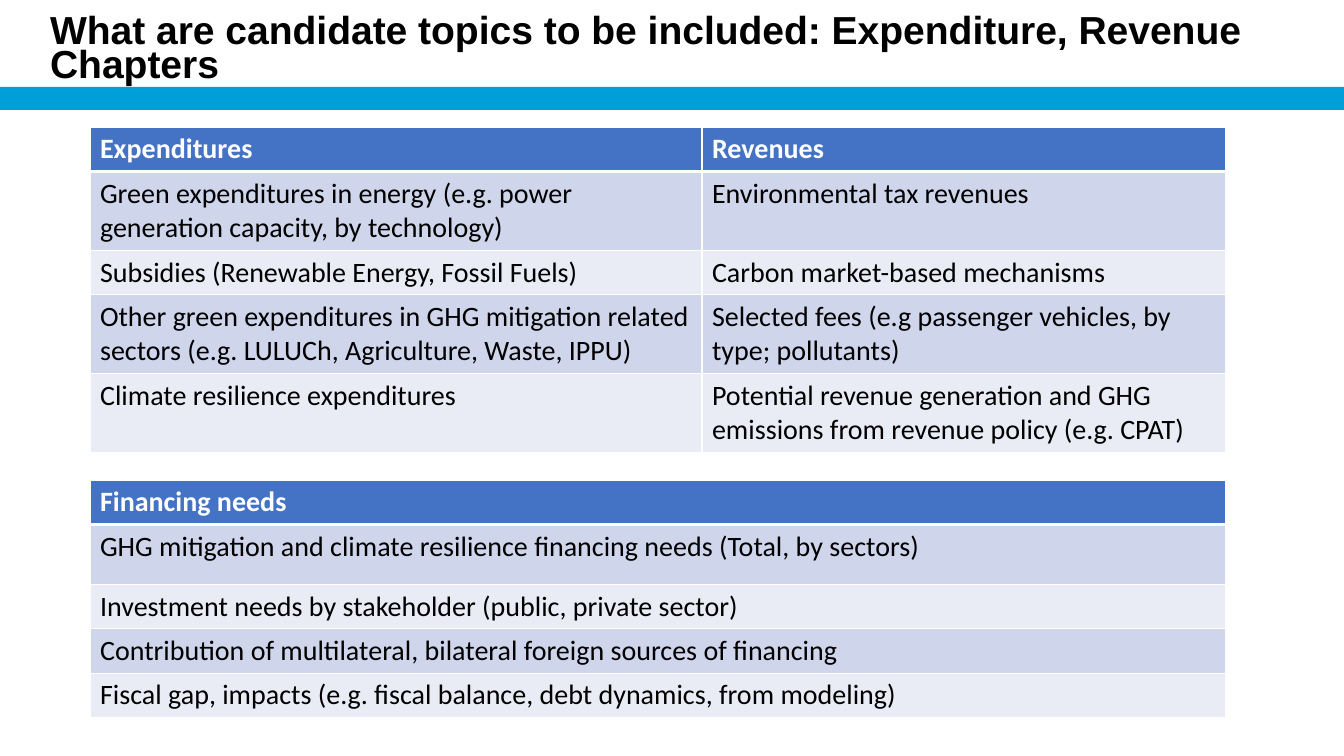
from pptx import Presentation
from pptx.dml.color import RGBColor as Rgb
from pptx.enum.shapes import MSO_SHAPE as Kind
from pptx.enum.text import MSO_ANCHOR as Anchor, PP_ALIGN as Align
from pptx.oxml import parse_xml
from pptx.oxml.ns import nsdecls
from pptx.util import Pt

# Content
TITLE = "What are candidate topics to be included: Expenditure, Revenue Chapters"
BUDGET = [
    ("Expenditures", "Revenues"),
    ("Green expenditures in energy (e.g. power generation capacity, by technology)",
     "Environmental tax revenues"),
    ("Subsidies (Renewable Energy, Fossil Fuels)", "Carbon market-based mechanisms"),
    ("Other green expenditures in GHG mitigation related sectors "
     "(e.g. LULUCh, Agriculture, Waste, IPPU)",
     "Selected fees (e.g passenger vehicles, by type; pollutants)"),
    ("Climate resilience expenditures",
     "Potential revenue generation and GHG emissions from revenue policy (e.g. CPAT)"),
]
NEEDS = [
    ("Financing needs",),
    ("GHG mitigation and climate resilience financing needs (Total, by sectors)",),
    ("Investment needs by stakeholder (public, private sector)",),
    ("Contribution of multilateral, bilateral foreign sources of financing",),
    ("Fiscal gap, impacts (e.g. fiscal balance, debt dynamics, from modeling)",),
]
# Rows, top, column widths, row heights
TABLES = [
    (BUDGET, 127, (612, 524), (43, 79, 44, 79, 79)),
    (NEEDS, 480, (1136,), (43, 60, 44, 44, 44)),
]
LEFT = 90
COLORS = {"bar": "009FDA", "head": "4472C4", "odd": "CFD5EA", "even": "E9EBF5",
          "white": "FFFFFF", "black": "000000"}


def px(n):
    return round(n * 914400 / 100.8)


def color(name):
    return Rgb.from_string(COLORS[name])


def style(font, face, size, bold, ink):
    font.name, font.size, font.bold = face, Pt(size), bold
    font.color.rgb = color(ink)


def border(cell, side, width):
    line = parse_xml(
        f'<a:{side} {nsdecls("a")} w="{Pt(width)}"><a:solidFill>'
        f'<a:srgbClr val="{COLORS["white"]}"/></a:solidFill></a:{side}>')
    props = cell._tc.get_or_add_tcPr()
    props.insert(len(props) - 1, line)  # borders come before the fill


def add_grid(slide, rows, top, widths, heights):
    grid = slide.shapes.add_table(len(rows), len(widths), px(LEFT), px(top),
                                  px(sum(widths)), px(sum(heights))).table
    for col, width in zip(grid.columns, widths):
        col.width = px(width)
    for r, (row, height) in enumerate(zip(rows, heights)):
        grid.rows[r].height = px(height)
        head = r == 0
        for c, text in enumerate(row):
            cell = grid.cell(r, c)
            cell.text_frame.text = text
            style(cell.text_frame.paragraphs[0].runs[0].font, "Calibri", 20, head,
                  "white" if head else "black")
            cell.fill.solid()
            cell.fill.fore_color.rgb = color("head" if head else "odd" if r % 2 else "even")
            for side in ("lnL", "lnR", "lnT", "lnB"):
                thick = (head and side == "lnB") or (r == 1 and side == "lnT")
                border(cell, side, 3 if thick else 1)


def main():
    deck = Presentation()
    deck.slide_width, deck.slide_height = px(1344), px(756)
    slide = deck.slides.add_slide(deck.slide_layouts[5])

    # Bar under the title
    bar = slide.shapes.add_shape(Kind.RECTANGLE, px(-1), px(87), px(1346), px(23))
    bar.shadow.inherit = False
    bar.fill.solid()
    bar.fill.fore_color.rgb = color("bar")
    bar.line.fill.background()

    # Title
    title = slide.shapes.title
    title.left, title.top, title.width, title.height = map(px, (40, 12, 1258, 63))
    frame = title.text_frame
    frame.text = TITLE
    frame.word_wrap = True
    frame.vertical_anchor = Anchor.TOP
    para = frame.paragraphs[0]
    para.alignment = Align.LEFT
    para.line_spacing = 0.73
    style(para.runs[0].font, "Arial", 27.9, True, "black")

    # Tables
    for table in TABLES:
        add_grid(slide, *table)

    deck.save("out.pptx")


if __name__ == "__main__":
    main()
